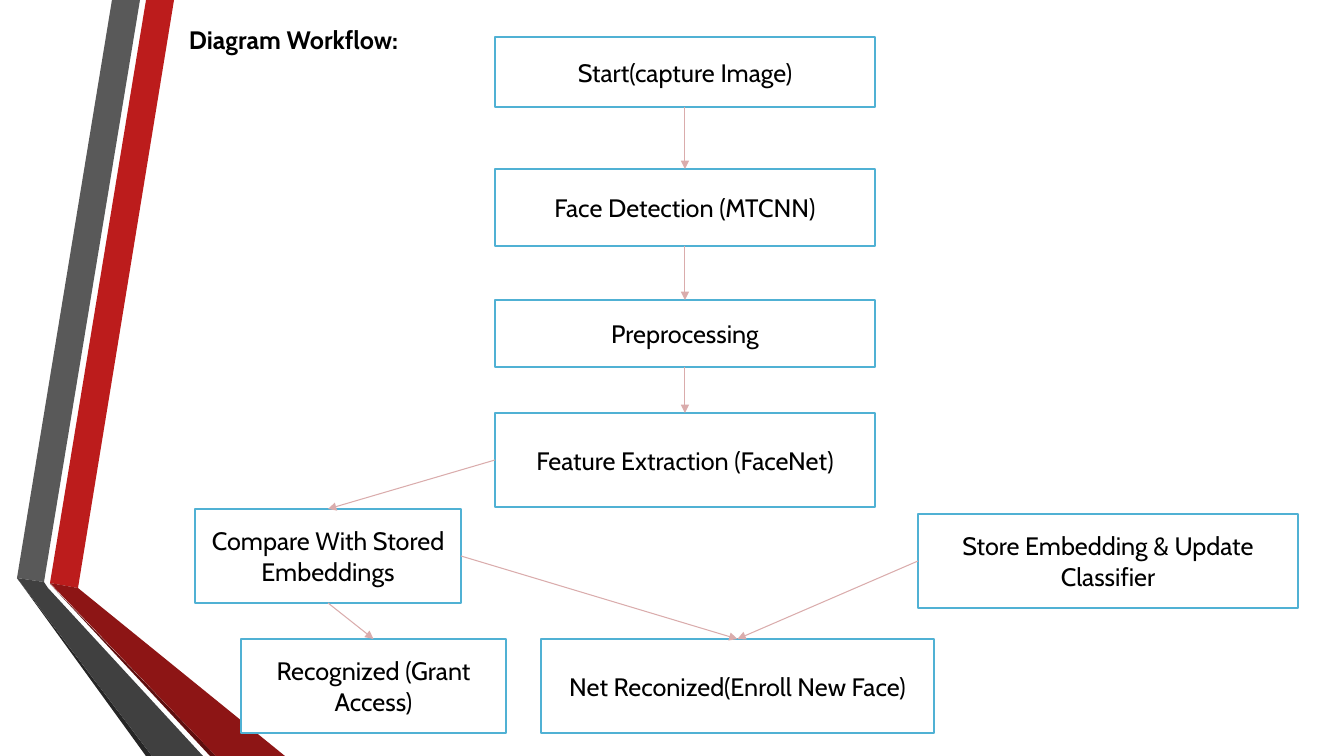
"""Build the face recognition workflow slide."""
import pptx
import pptx.dml.color
import pptx.enum.shapes
import pptx.enum.text
import pptx.oxml
import pptx.oxml.ns
import pptx.util

PX = 914400 / 100.8
FONT = "Cabin"
COLORS = {
    "red": "BC1C1C", "grey": "595959", "black": "262626", "maroon": "5E0E0E",
    "dark_red": "8D1515", "dark_grey": "404040", "white": "FFFFFF",
    "border": "50B1D4", "arrow": "DAACAC", "text": "000000",
}
RIBBONS = [
    ("red", [(50, 583), (78, 588), (174, 0), (146, 0)]),
    ("grey", [(140, 0), (112, 0), (17, 578), (44, 582)]),
    ("black", [(17, 578), (146, 756), (152, 756)]),
    ("maroon", [(50, 584), (210, 756), (216, 756)]),
    ("dark_red", [(50, 583), (216, 756), (285, 756), (78, 588)]),
    ("dark_grey", [(17, 578), (152, 756), (203, 756), (48, 588), (44, 582)]),
]
STEPS = {
    "start": ("Start(capture Image)", 495, 37, 380, 70),
    "detect": ("Face Detection (MTCNN)", 495, 169, 380, 77),
    "prepare": ("Preprocessing", 495, 300, 380, 67),
    "extract": ("Feature Extraction (FaceNet)", 495, 413, 380, 94),
    "compare": ("Compare With Stored Embeddings", 195, 509, 266, 94),
    "grant": ("Recognized (Grant Access)", 241, 639, 265, 94),
    "enroll": ("Net Reconized(Enroll New Face)", 541, 639, 393, 94),
    "store": ("Store Embedding & Update Classifier", 918, 514, 380, 94),
}
TOP, LEFT, BOTTOM, RIGHT = range(4)
FLOWS = [
    ("start", BOTTOM, "detect"),
    ("detect", BOTTOM, "prepare"),
    ("prepare", BOTTOM, "extract"),
    ("extract", LEFT, "compare"),
    ("compare", BOTTOM, "grant"),
    ("compare", RIGHT, "enroll"),
    ("store", LEFT, "enroll"),
]


def px(length):
    """Turn pixels into EMU."""
    return pptx.util.Emu(round(length * PX))


def rgb(name):
    """Return the named colour."""
    return pptx.dml.color.RGBColor.from_string(COLORS[name])


def fill_shape(shape, color):
    """Give a shape a solid fill and no shadow."""
    shape.shadow.inherit = False
    shape.fill.solid()
    shape.fill.fore_color.rgb = rgb(color)


def write(frame, text, bold=False):
    """Put one styled paragraph into a text frame and return it."""
    frame.word_wrap = True
    paragraph = frame.paragraphs[0]
    paragraph.text = text
    paragraph.font.name = FONT
    paragraph.font.size = pptx.util.Pt(18)
    paragraph.font.bold = bold
    paragraph.font.color.rgb = rgb("text")
    return paragraph


def add_ribbon(slide, color, corners):
    """Draw one facet of the folded ribbons."""
    builder = slide.shapes.build_freeform(*corners[0], scale=PX)
    builder.add_line_segments(corners[1:], close=True)
    ribbon = builder.convert_to_shape()
    fill_shape(ribbon, color)
    ribbon.line.fill.background()


def add_step(slide, label, *bounds):
    """Draw one workflow step and return its box."""
    step = slide.shapes.add_shape(
        pptx.enum.shapes.MSO_SHAPE.RECTANGLE, *map(px, bounds))
    fill_shape(step, "white")
    step.line.color.rgb = rgb("border")
    step.line.width = pptx.util.Pt(1.25)
    step.text_frame.vertical_anchor = pptx.enum.text.MSO_ANCHOR.MIDDLE
    write(step.text_frame, label).alignment = pptx.enum.text.PP_ALIGN.CENTER
    return step


def add_flow(slide, source, side, target):
    """Draw an arrow from a side of one step to the top of another."""
    flow = slide.shapes.add_connector(
        pptx.enum.shapes.MSO_CONNECTOR.STRAIGHT, 0, 0, 0, 0)
    flow.begin_connect(source, side)
    flow.end_connect(target, TOP)
    flow.line.color.rgb = rgb("arrow")
    flow.line.width = pptx.util.Pt(0.75)
    head = pptx.oxml.parse_xml(
        f'<a:tailEnd {pptx.oxml.ns.nsdecls("a")} type="triangle"/>')
    flow.line._get_or_add_ln().append(head)
    flow._element.spPr.append(
        pptx.oxml.parse_xml(f'<a:effectLst {pptx.oxml.ns.nsdecls("a")}/>'))


def add_heading(slide, text, *bounds):
    """Write the slide heading."""
    heading = slide.shapes.add_textbox(*map(px, bounds))
    write(heading.text_frame, text, bold=True)


def main():
    """Build and save the slide."""
    deck = pptx.Presentation()
    deck.slide_width, deck.slide_height = px(1344), px(756)
    slide = deck.slides.add_slide(deck.slide_layouts[6])
    for color, corners in RIBBONS:
        add_ribbon(slide, color, corners)
    steps = {key: add_step(slide, *step) for key, step in STEPS.items()}
    for source, side, target in FLOWS:
        add_flow(slide, steps[source], side, steps[target])
    add_heading(slide, "Diagram Workflow:", 179, 19, 672, 40)
    deck.save("out.pptx")


if __name__ == "__main__":
    main()
